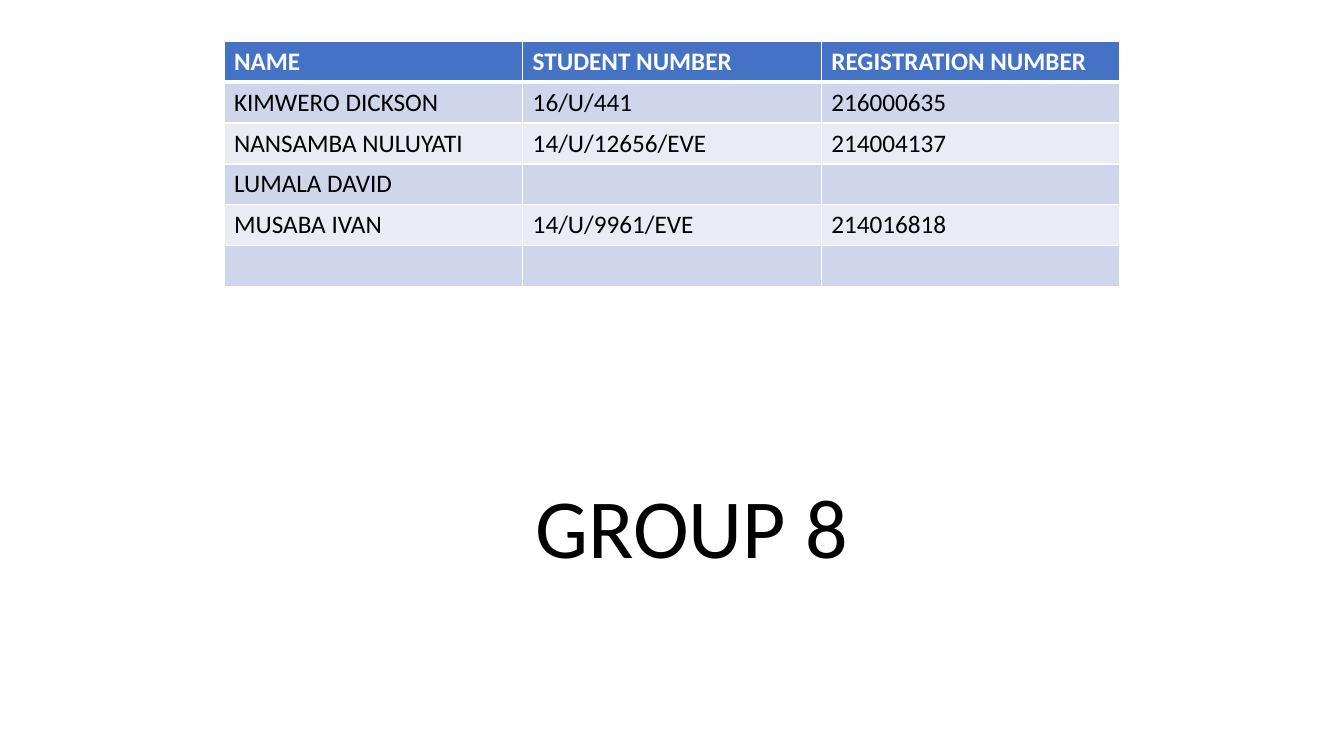
from lxml import etree
from pptx import Presentation
from pptx import util as u
from pptx.dml.color import RGBColor
from pptx.enum import text
from pptx.oxml.ns import qn

# Content
TITLE = "GROUP 8"
STUDENTS = [
    ("NAME", "STUDENT NUMBER", "REGISTRATION NUMBER"),
    ("KIMWERO DICKSON", "16/U/441", "216000635"),
    ("NANSAMBA NULUYATI", "14/U/12656/EVE", "214004137"),
    ("LUMALA DAVID", "", ""),
    ("MUSABA IVAN", "14/U/9961/EVE", "214016818"),
    ("", "", ""),
]

# Style
FONT = "Calibri"
BLACK = RGBColor(0x00, 0x00, 0x00)
WHITE = RGBColor(0xFF, 0xFF, 0xFF)
HEADER_BLUE = RGBColor(0x44, 0x72, 0xC4)
BANDS = (RGBColor(0xE9, 0xEB, 0xF5), RGBColor(0xCF, 0xD5, 0xEA))

# Layout: the table is two thirds of the slide wide and centred
SLIDE_WIDTH, SLIDE_HEIGHT = u.Inches(13.33), u.Inches(7.5)
TABLE_WIDTH = SLIDE_WIDTH * 2 // 3
TABLE_LEFT = (SLIDE_WIDTH - TABLE_WIDTH) // 2
TABLE_TOP = u.Inches(0.41)
ROW_HEIGHT = u.Pt(29.2)


def add_run(paragraph, words, size, color, bold=False):
    run = paragraph.add_run()
    run.text = words
    run.font.name = FONT
    run.font.size = u.Pt(size)
    run.font.bold = bold
    run.font.color.rgb = color


def add_borders(cell, top, bottom):
    """White borders, with side lines of 1 pt; lines go before the fill."""
    properties = cell._tc.get_or_add_tcPr()
    widths = {"a:lnL": 1, "a:lnR": 1, "a:lnT": top, "a:lnB": bottom}
    for position, (tag, width) in enumerate(widths.items()):
        line = etree.Element(qn(tag), w=str(u.Pt(width)))
        fill = etree.SubElement(line, qn("a:solidFill"))
        etree.SubElement(fill, qn("a:srgbClr"), val=str(WHITE))
        properties.insert(position, line)


presentation = Presentation()
presentation.slide_width, presentation.slide_height = SLIDE_WIDTH, SLIDE_HEIGHT
slide = presentation.slides.add_slide(presentation.slide_layouts[5])

# Title
title = slide.shapes.title
title.left, title.top = u.Inches(1.86), u.Inches(3.16)
title.width, title.height = u.Inches(10), u.Inches(2.61)
title.text_frame.word_wrap = True
title.text_frame.vertical_anchor = text.MSO_ANCHOR.BOTTOM
heading = title.text_frame.paragraphs[0]
heading.alignment = text.PP_ALIGN.CENTER
heading.line_spacing = 0.9
add_run(heading, TITLE, 60, BLACK)

# Student table
table = slide.shapes.add_table(
    len(STUDENTS), len(STUDENTS[0]), TABLE_LEFT, TABLE_TOP,
    TABLE_WIDTH, ROW_HEIGHT * len(STUDENTS)).table
for row, values in enumerate(STUDENTS):
    is_header = row == 0
    for column, value in enumerate(values):
        cell = table.cell(row, column)
        cell.fill.solid()
        cell.fill.fore_color.rgb = HEADER_BLUE if is_header else BANDS[row % 2]
        add_borders(cell, top=3 if row == 1 else 1, bottom=3 if is_header else 1)
        if value:
            add_run(cell.text_frame.paragraphs[0], value, 18,
                    WHITE if is_header else BLACK, bold=is_header)

presentation.save("out.pptx")
